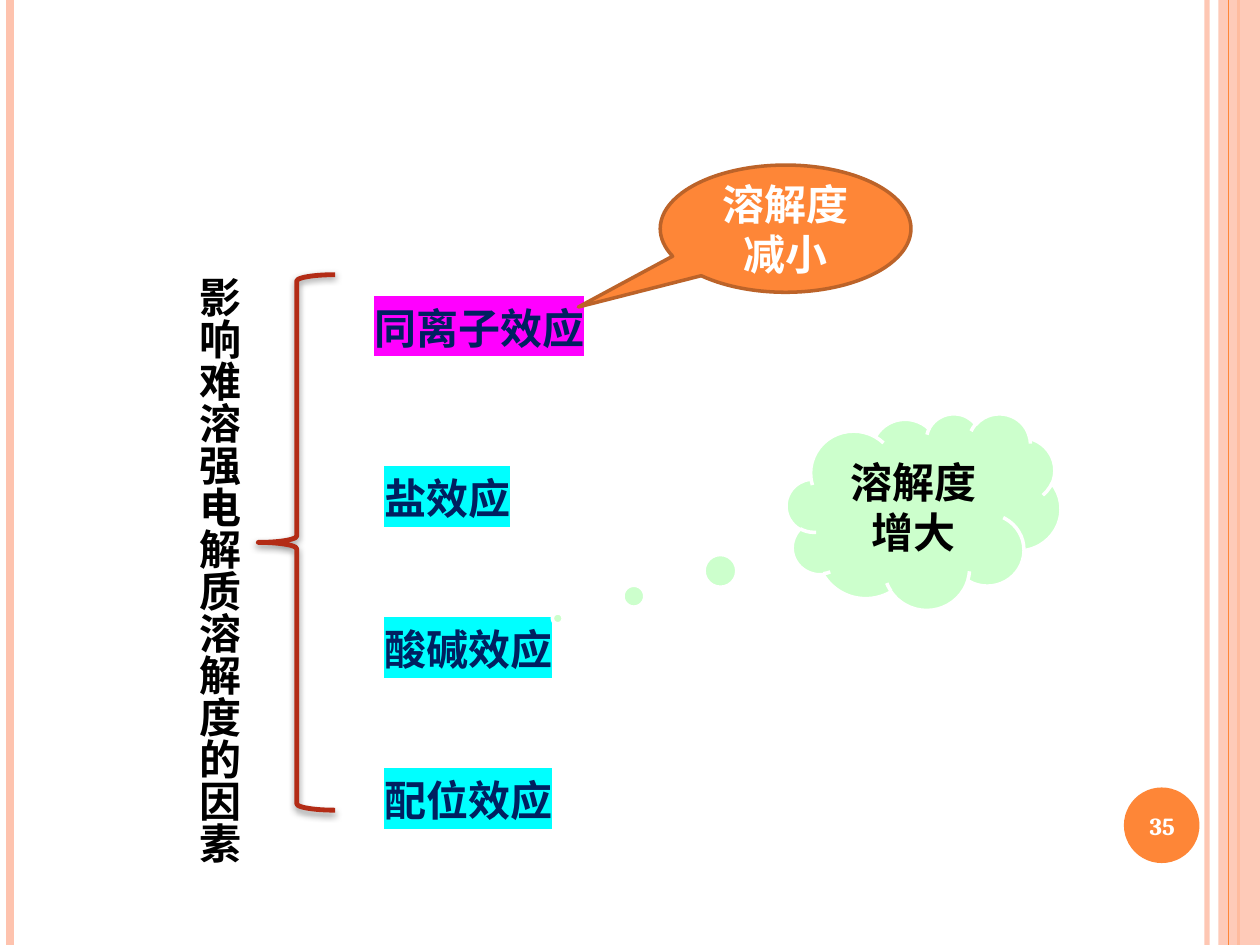
import pptx
import pptx.util
import pptx.dml.color
import pptx.enum.shapes
import pptx.enum.text
import pptx.oxml.ns
from lxml import etree

SHAPE = pptx.enum.shapes.MSO_SHAPE
Inches, Pt = pptx.util.Inches, pptx.util.Pt
WIDTH, HEIGHT = 10, 7.5
SANS, SERIF = "Noto Sans CJK SC", "Cambria"
ORANGE, PEACH, NAVY, WHITE, BLACK = "FE8637", "FEC3AE", "002060", "FFFFFF", "000000"
MAGENTA, CYAN = "FF00FF", "00FFFF"

# Content
TITLE = "影响难溶强电解质溶解度的因素"
COMMON_ION = ["同离子效应"]
OTHER_EFFECTS = ["盐效应", "酸碱效应", "配位效应"]
PAGE_NUMBER = "35"
# x, colour, width in points, opacity in percent
STRIPES_BEHIND = [(9.58, PEACH, 3, 93), (0.08, PEACH, 4.5, 100), (9.83, ORANGE, 1.5, 100)]
STRIPES_FRONT = [(9.75, ORANGE, 0.75, 100)]
# preset, place, tail, fill, line, text, text colour
DECREASE = (SHAPE.OVAL_CALLOUT, (5.24, 1.31, 1.99, 1.01), (-0.827, 0.616),
            ORANGE, "BC6329", "溶解度减小", WHITE)
INCREASE = (SHAPE.CLOUD_CALLOUT, (6.24, 3.28, 2.18, 1.56), (-1.332, 0.544),
            "CCFFCC", WHITE, "溶解度增大", BLACK)


def rgb(value):
    return pptx.dml.color.RGBColor.from_string(value)


def add_xml(parent, tag, **attributes):
    return etree.SubElement(parent, pptx.oxml.ns.qn(tag), attributes)


def set_opacity(fill_owner, percent):
    if percent < 100:
        colour = next(fill_owner.iter(pptx.oxml.ns.qn("a:srgbClr")))
        add_xml(colour, "a:alpha", val=str(percent * 1000))


def add_stripes(page, stripes):
    for x, colour, width, opacity in stripes:
        stripe = page.shapes.add_connector(
            pptx.enum.shapes.MSO_CONNECTOR.STRAIGHT,
            Inches(x), 0, Inches(x), Inches(HEIGHT))
        stripe.line.color.rgb = rgb(colour)
        stripe.line.width = Pt(width)
        set_opacity(stripe.line._ln, opacity)
        add_xml(stripe._element.spPr, "a:effectLst")


def add_shape(page, preset, place, fill=None, line=None, width=2):
    shape = page.shapes.add_shape(preset, *map(Inches, place))
    shape.shadow.inherit = False
    if fill:
        shape.fill.solid()
        shape.fill.fore_color.rgb = rgb(fill)
    else:
        shape.fill.background()
    if line:
        shape.line.color.rgb = rgb(line)
        shape.line.width = Pt(width)
    else:
        shape.line.fill.background()
    return shape


def write(frame, lines, colour, size=24, latin=SANS, centred=False,
          spacing=None, highlight=None):
    for index, line in enumerate(lines):
        para = frame.add_paragraph() if index else frame.paragraphs[0]
        para.add_run().text = line
        if centred:
            para.alignment = pptx.enum.text.PP_ALIGN.CENTER
        if spacing:
            para.line_spacing = spacing
        font = para.font
        font.size, font.bold = Pt(size), True
        font.color.rgb = rgb(colour)
        if highlight:
            # the highlight belongs to the run, between fill and typeface
            mark = add_xml(para.runs[0].font._rPr, "a:highlight")
            add_xml(mark, "a:srgbClr", val=highlight)
        font.name = latin
        add_xml(font._rPr, "a:ea", typeface=SANS)


def add_text(page, place, lines, colour, wrap=False, **style):
    box = page.shapes.add_textbox(*map(Inches, place))
    frame = box.text_frame
    frame.word_wrap = wrap
    write(frame, lines, colour, **style)
    return frame


def add_callout(page, preset, place, tail, fill, line, text, colour):
    callout = add_shape(page, preset, place, fill, line)
    for index, value in enumerate(tail):
        callout.adjustments[index] = value
    callout.text_frame.vertical_anchor = pptx.enum.text.MSO_ANCHOR.MIDDLE
    write(callout.text_frame, [text], colour, latin=SERIF, centred=True)


def main():
    deck = pptx.Presentation()
    deck.slide_width, deck.slide_height = Inches(WIDTH), Inches(HEIGHT)
    page = deck.slides.add_slide(deck.slide_layouts[6])

    # Edge decoration
    add_stripes(page, STRIPES_BEHIND)
    band = add_shape(page, SHAPE.RECTANGLE, (9.67, 0, WIDTH - 9.67, HEIGHT), PEACH)
    set_opacity(band._element.spPr, 87)
    add_stripes(page, STRIPES_FRONT)

    # Page number
    add_shape(page, SHAPE.OVAL, (8.92, 6.25, 0.6, 0.6), ORANGE)
    number = add_text(page, (8.89, 6.27, 0.67, 0.57), [PAGE_NUMBER], WHITE,
                      wrap=True, size=14, latin=SERIF, centred=True)
    number.vertical_anchor = pptx.enum.text.MSO_ANCHOR.MIDDLE

    # Vertical title
    title = add_text(page, (1.38, 2.1, 0.61, 4.81), [TITLE], BLACK,
                     latin="Times New Roman")
    title._txBody.bodyPr.set("vert", "eaVert")

    # Effects and their callouts
    add_text(page, (2.87, 1.55, 1.88, 1.09), COMMON_ION, NAVY,
             spacing=3.0, highlight=MAGENTA)
    add_callout(page, *DECREASE)

    brace = add_shape(page, SHAPE.LEFT_BRACE, (2.05, 2.18, 0.61, 4.25),
                      line="B32C16", width=2.75)
    effects = brace._element.spPr.find(pptx.oxml.ns.qn("a:effectLst"))
    shadow = add_xml(effects, "a:outerShdw", blurRad=str(Pt(4)), dist=str(Pt(1.6)),
                     dir="5400000", rotWithShape="0")
    add_xml(shadow, "a:srgbClr", val=BLACK)
    set_opacity(shadow, 42)

    add_text(page, (2.95, 2.9, 1.65, 3.51), OTHER_EFFECTS, NAVY, wrap=True,
             spacing=3.0, highlight=CYAN)
    add_callout(page, *INCREASE)

    deck.save("out.pptx")


if __name__ == "__main__":
    main()
